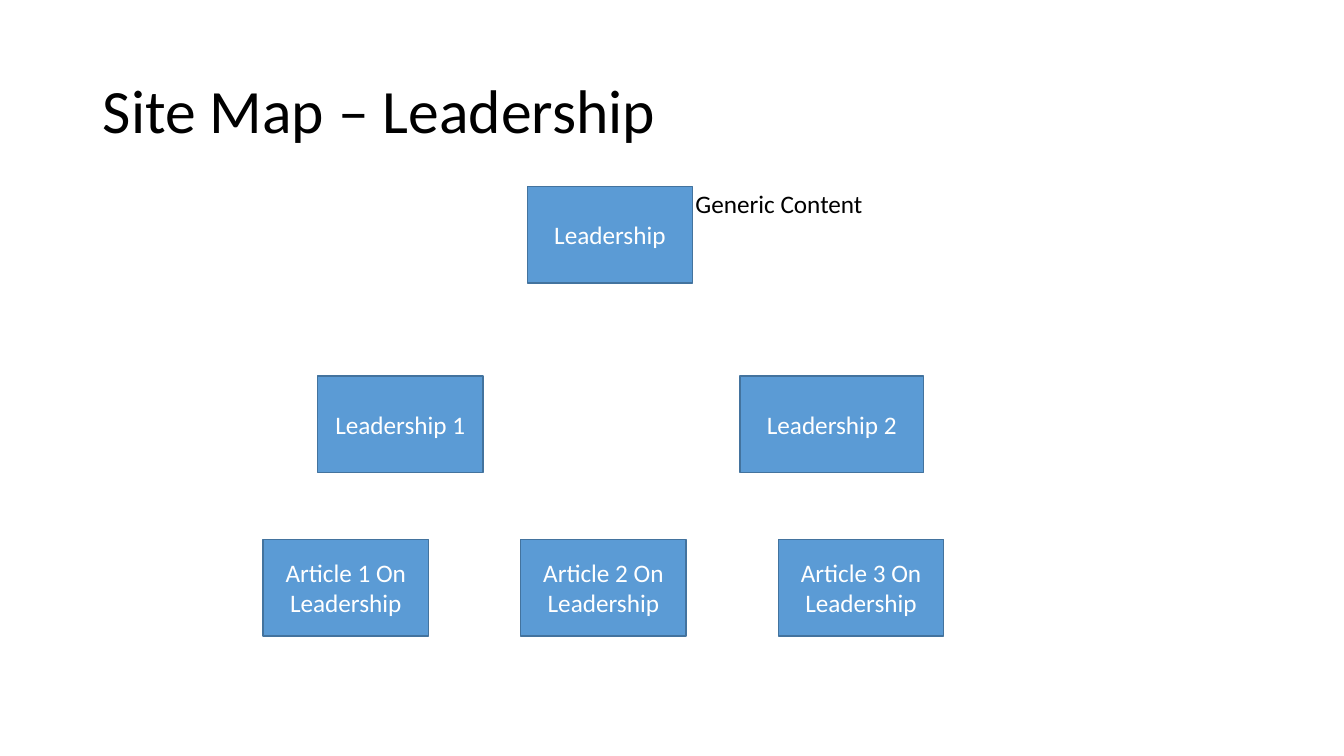
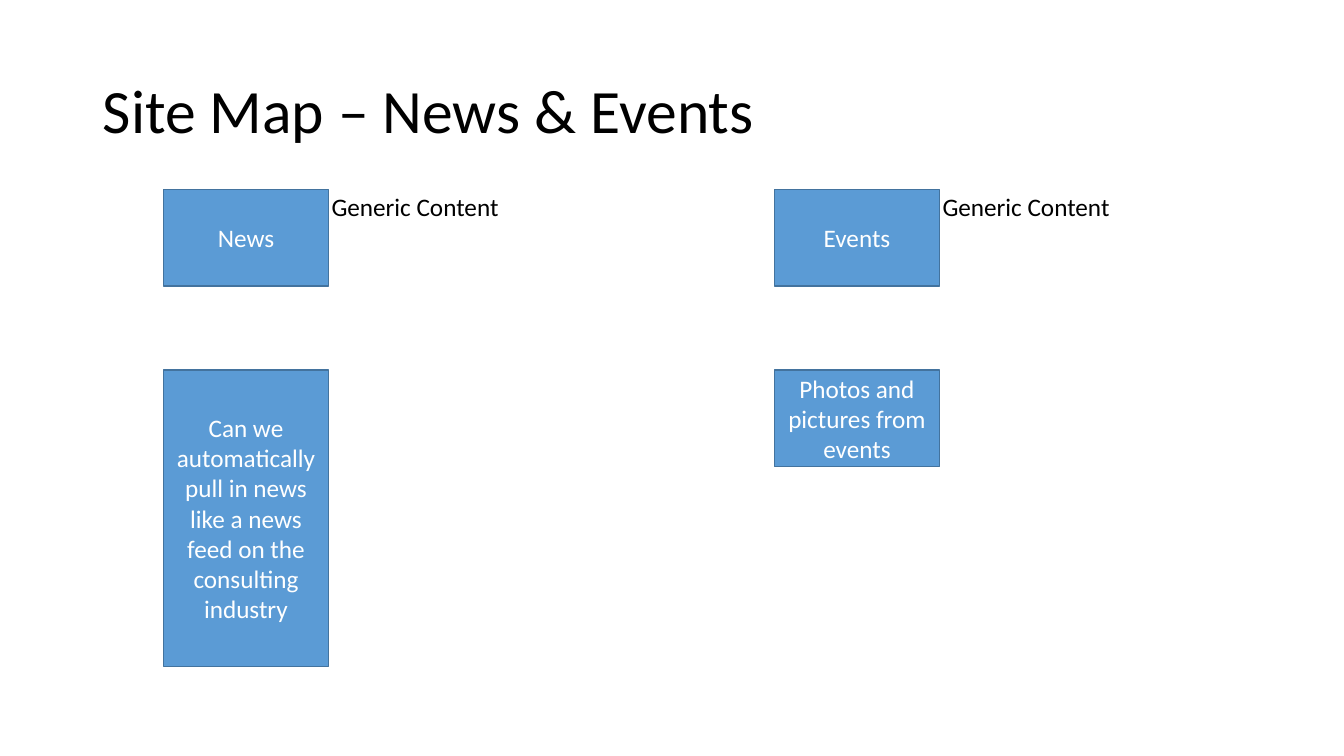
from pptx import Presentation
from pptx.dml.color import RGBColor
from pptx.enum.shapes import MSO_SHAPE as Shape
from pptx.enum.text import MSO_ANCHOR as Anchor, MSO_AUTO_SIZE as AutoSize, PP_ALIGN as Align
from pptx.util import Inches, Pt

COLORS = {"page": "FFFFFF", "box": "5B9BD5", "edge": "43739E", "light": "FFFFFF", "dark": "000000"}
FONT = "Calibri"
BOX_WIDTH, BOX_HEIGHT = 1.64, 0.96


def color(name):
    """Return the named colour of the palette."""
    return RGBColor.from_string(COLORS[name])


def write(frame, text, size=18, ink="dark", align=Align.LEFT, anchor=Anchor.TOP, spacing=None):
    """Put one formatted paragraph into a text frame."""
    frame.word_wrap = True
    frame.vertical_anchor = anchor
    para = frame.paragraphs[0]
    para.alignment = align
    if spacing:
        para.line_spacing = spacing
    span = para.add_run()
    span.text = text
    span.font.name = FONT
    span.font.size = Pt(size)
    span.font.color.rgb = color(ink)


class SiteMap:
    """Hold the deck, its style and the current page."""

    def __init__(self):
        """Start a widescreen deck."""
        self.deck = Presentation()
        self.deck.slide_width = Inches(13.33)
        self.deck.slide_height = Inches(7.5)
        self.page = None

    def add_page(self, topic):
        """Add a page titled with its site map topic."""
        self.page = self.deck.slides.add_slide(self.deck.slide_layouts[5])
        fill = self.page.background.fill
        fill.solid()
        fill.fore_color.rgb = color("page")
        title = self.page.shapes.title
        title.left, title.top = Inches(0.92), Inches(0.4)
        title.width, title.height = Inches(11.5), Inches(1.45)
        write(title.text_frame, f"Site Map – {topic}", size=44, anchor=Anchor.MIDDLE, spacing=0.9)

    def box(self, text, left, top, width=BOX_WIDTH, height=BOX_HEIGHT):
        """Add a filled box with centred text."""
        box = self.page.shapes.add_shape(
            Shape.RECTANGLE, Inches(left), Inches(top), Inches(width), Inches(height))
        box.shadow.inherit = False
        box.fill.solid()
        box.fill.fore_color.rgb = color("box")
        box.line.color.rgb = color("edge")
        box.line.width = Pt(1)
        write(box.text_frame, text, ink="light", align=Align.CENTER, anchor=Anchor.MIDDLE)

    def section(self, text, left, top):
        """Add a top-level box with its content note at the right."""
        self.box(text, left, top)
        note = self.page.shapes.add_textbox(
            Inches(left + 1.57), Inches(top - 0.035), Inches(2.04), Inches(0.4))
        write(note.text_frame, "Generic Content")
        note.text_frame.auto_size = AutoSize.SHAPE_TO_FIT_TEXT


def leadership_page(site):
    """Build the leadership tree."""
    site.add_page("Leadership")
    site.section("Leadership", 5.23, 1.85)
    for number, (left, width) in enumerate([(3.15, BOX_WIDTH), (7.34, 1.82)], start=1):
        site.box(f"Leadership {number}", left, 3.73, width)
    for index in range(3):
        site.box(f"Article {index + 1} On Leadership", 2.61 + index * 2.555, 5.35)


def news_page(site):
    """Build the news and events columns."""
    site.add_page("News & Events")
    columns = [
        ("Events", "Photos and pictures from events", 7.68, BOX_HEIGHT),
        ("News", "Can we automatically pull in news like a news feed on the consulting industry",
         1.62, 2.94),
    ]
    for heading, detail, left, height in columns:
        site.section(heading, left, 1.88)
        site.box(detail, left, 3.67, height=height)


site = SiteMap()
leadership_page(site)
news_page(site)
site.deck.save("out.pptx")
